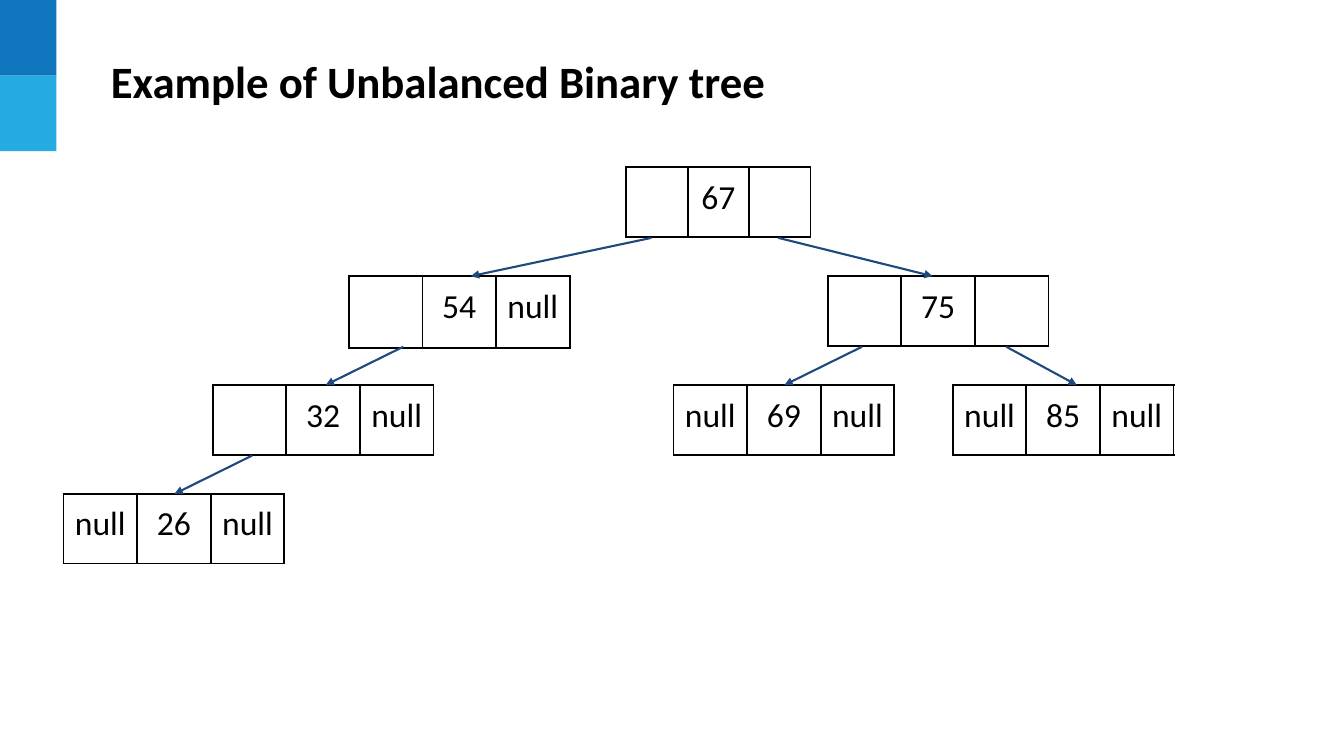
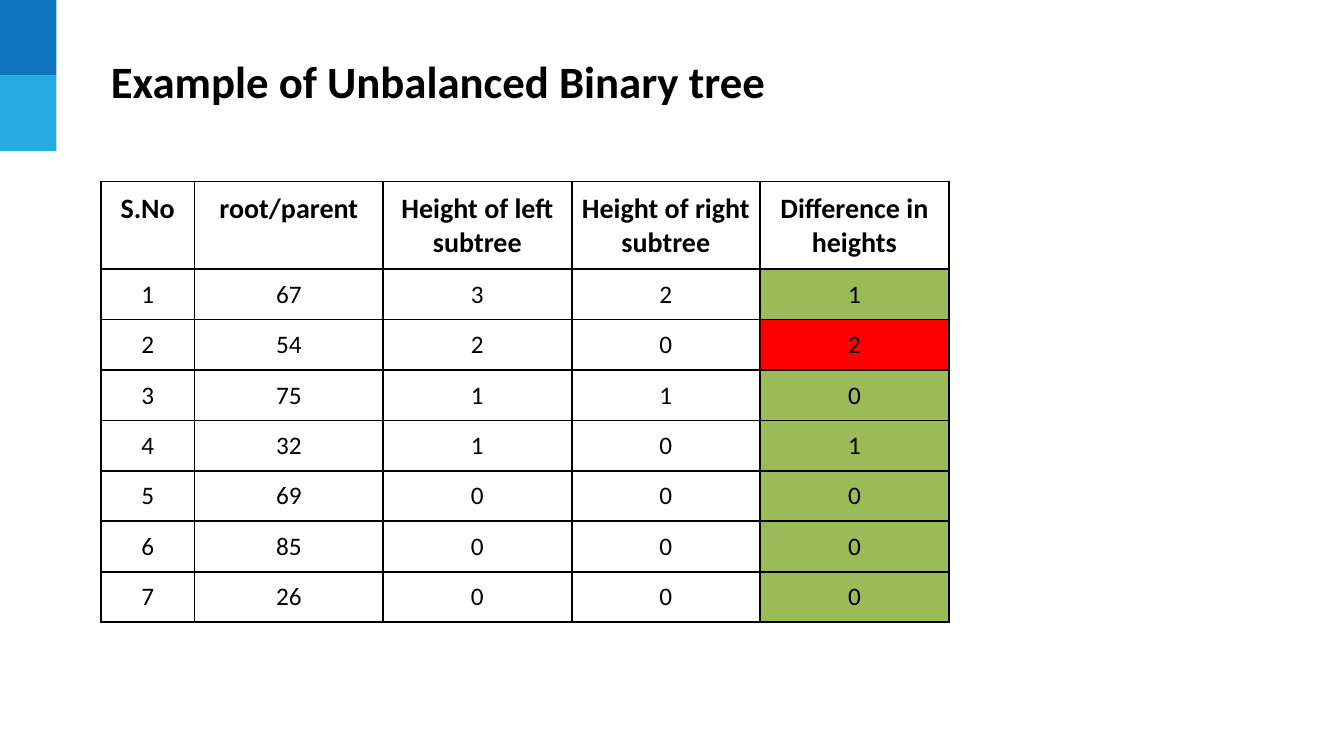
from lxml import etree
from pptx import Presentation
from pptx.dml.color import RGBColor
from pptx.enum.shapes import MSO_CONNECTOR, MSO_SHAPE
from pptx.enum.text import MSO_ANCHOR, PP_ALIGN
from pptx.oxml.ns import qn
from pptx.util import Inches, Pt

RECT = MSO_SHAPE.RECTANGLE
LINE = MSO_CONNECTOR.STRAIGHT
MID, TOP = MSO_ANCHOR.MIDDLE, MSO_ANCHOR.TOP
LEFT, CENTER = PP_ALIGN.LEFT, PP_ALIGN.CENTER

TITLE = "Example of Unbalanced Binary tree"
NODES = [
    {"row": 0, "left": 6.21, "cells": ["", "67", ""], "col": 0.61},
    {"row": 1, "left": 3.46, "cells": ["", "54", "null"], "link": (6.46, 4.67), "high": 0.71},
    {"row": 1, "left": 8.21, "cells": ["", "75", ""], "link": (7.72, 9.25)},
    {"row": 2, "left": 2.11, "cells": ["", "32", "null"], "link": (4, 3.23)},
    {"row": 2, "left": 6.68, "cells": ["null", "69", "null"], "link": (8.55, 7.78)},
    {"row": 2, "left": 9.45, "cells": ["null", "85", "null"], "link": (9.98, 10.68)},
    {"row": 3, "left": 0.63, "cells": ["null", "26", "null"], "link": (2.5, 1.73)},
]
HEAD = ["S.No", "root/parent", "Height of left subtree",
        "Height of right subtree", "Difference in heights"]
TREES = [(67, 3, 2), (54, 2, 0), (75, 1, 1), (32, 1, 0),
         (69, 0, 0), (85, 0, 0), (26, 0, 0)]

COLORS = {"dark": "0F75BD", "light": "25AAE2", "ink": "000000",
          "arrow": "1F497D", "good": "9BBB59", "bad": "FF0000"}
FONTS = {
    "title": {"name": "Calibri", "size": Pt(32), "bold": True},
    "node": {"name": "Calibri", "size": Pt(24), "bold": False},
    "head": {"name": "Calibri", "size": Pt(20), "bold": True},
    "body": {"name": "Calibri", "size": Pt(18), "bold": False},
}
PADS = ["margin_left", "margin_right", "margin_top", "margin_bottom"]
WIDE, HIGH = 13.33, 7.5
BAND = (0.56, HIGH / 10)
START, STEP, GAP = 1.66, 1.08, 0.38
COL, ROW = 0.73, 0.69


def color(key):
    return RGBColor.from_string(COLORS[key])


def write(frame, text, style, align):
    part = frame.paragraphs[0]
    part.alignment = align
    run = part.add_run()
    run.text = text
    for key, value in FONTS[style].items():
        setattr(run.font, key, value)
    run.font.color.rgb = color("ink")


def border(cell):
    props = cell._tc.get_or_add_tcPr()
    for side in ("a:lnL", "a:lnR", "a:lnT", "a:lnB"):
        line = etree.SubElement(props, qn(side), w=str(Pt(1.5)))
        fill = etree.SubElement(line, qn("a:solidFill"))
        etree.SubElement(fill, qn("a:srgbClr"), val=COLORS["ink"])


def grid(slide, left, top, cols, rows, data, styles, fills):
    size = [Inches(v) for v in (left, top, sum(cols), sum(rows))]
    table = slide.shapes.add_table(len(rows), len(cols), *size).table
    table.first_row = table.horz_banding = False
    for i, width in enumerate(cols):
        table.columns[i].width = Inches(width)
    for r, height in enumerate(rows):
        table.rows[r].height = Inches(height)
        for c, text in enumerate(data[r]):
            cell = table.cell(r, c)
            for pad in PADS:
                setattr(cell, pad, Inches(0.1))
            cell.vertical_anchor = TOP
            border(cell)
            if (r, c) in fills:
                cell.fill.solid()
                cell.fill.fore_color.rgb = color(fills[r, c])
            else:
                cell.fill.background()
            if text:
                write(cell.text_frame, text, styles[r], CENTER)


def arrow(slide, start, end):
    points = [Inches(v) for v in start + end]
    link = slide.shapes.add_connector(LINE, *points)
    link.line.width = Pt(1.5)
    link.line.color.rgb = color("arrow")
    etree.SubElement(link.line._get_or_add_ln(), qn("a:tailEnd"), type="triangle")
    etree.SubElement(link._element.spPr, qn("a:effectLst"))


def base(deck):
    slide = deck.slides.add_slide(deck.slide_layouts[6])
    wide, high = BAND
    for i, key in enumerate(("dark", "light")):
        band = slide.shapes.add_shape(
            RECT, 0, Inches(i * high), Inches(wide), Inches(high))
        band.shadow.inherit = False
        band.fill.solid()
        band.fill.fore_color.rgb = color(key)
        band.line.fill.background()
    box = slide.shapes.add_textbox(*[Inches(v) for v in (1, 0.35, 8.75, 0.9)])
    frame = box.text_frame
    frame.word_wrap = True
    frame.vertical_anchor = MID
    write(frame, TITLE, "title", LEFT)
    return slide


def tree(deck):
    slide = base(deck)
    for node in NODES:
        top = START + node["row"] * STEP
        grid(slide, node["left"], top, [node.get("col", COL)] * 3,
             [node.get("high", ROW)], [node["cells"]], ["node"], {})
    for node in NODES:
        if "link" in node:
            top = START + node["row"] * STEP
            begin, end = node["link"]
            arrow(slide, (begin, top - GAP), (end, top))


def heights(deck):
    slide = base(deck)
    data, fills = [HEAD], {}
    for i, (root, left, right) in enumerate(TREES, 1):
        diff = abs(left - right)
        data.append([str(v) for v in (i, root, left, right, diff)])
        fills[i, 4] = "bad" if diff > 1 else "good"
    count = len(TREES)
    grid(slide, 1, 1.8, [0.93] + [1.87] * 4, [0.87] + [0.5] * count,
         data, ["head"] + ["body"] * count, fills)


def main():
    deck = Presentation()
    deck.slide_width, deck.slide_height = Inches(WIDE), Inches(HIGH)
    tree(deck)
    heights(deck)
    deck.save("out.pptx")


if __name__ == "__main__":
    main()
